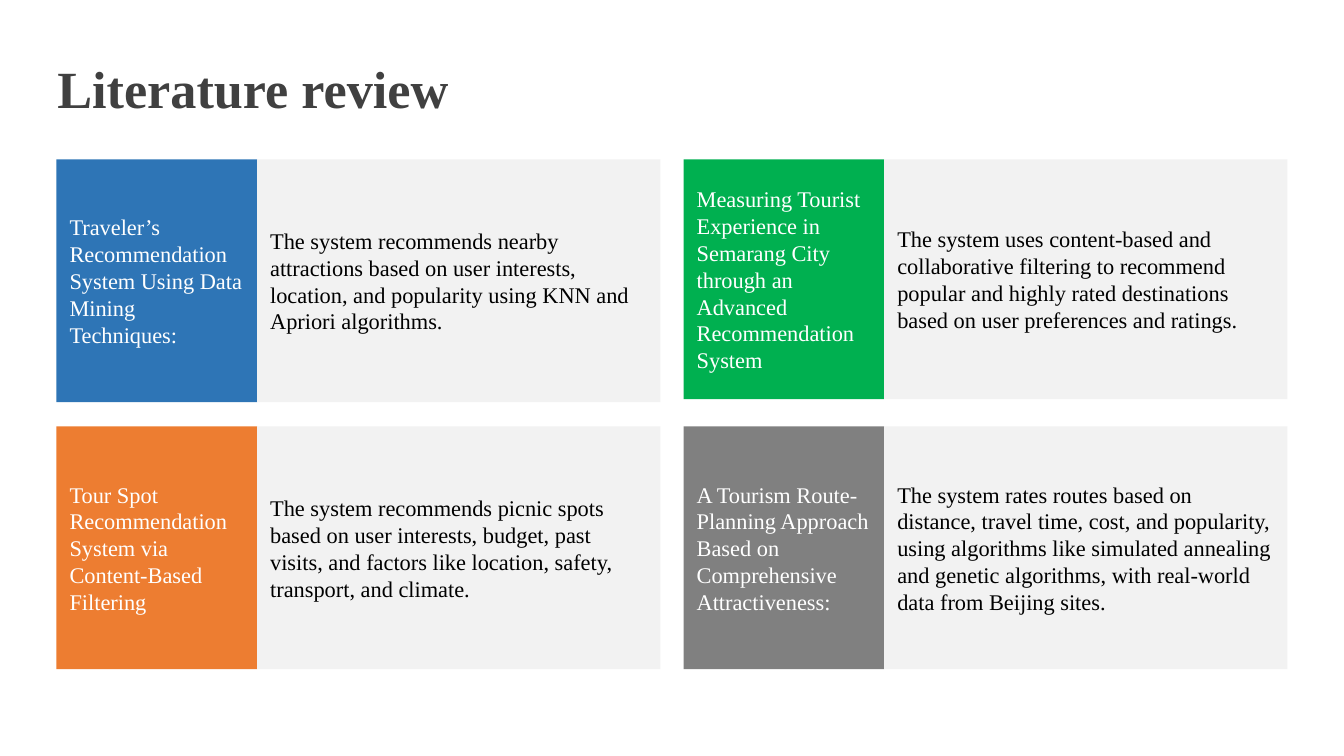
"""Build the literature review slide with four study cards."""
from dataclasses import dataclass

from pptx import Presentation
from pptx.dml.color import RGBColor
from pptx.enum.shapes import MSO_SHAPE
from pptx.enum.text import MSO_ANCHOR, PP_ALIGN
from pptx.slide import Slide
from pptx.text.text import TextFrame
from pptx.util import Inches, Pt


@dataclass(frozen=True)
class Theme:
    font: str = "Times New Roman"
    title_size: float = 37.3
    body_size: float = 16
    title: str = "404040"
    light: str = "FFFFFF"
    dark: str = "000000"
    panel: str = "F2F2F2"
    blue: str = "2E75B6"
    green: str = "00B050"
    orange: str = "ED7D31"
    gray: str = "808080"


@dataclass(frozen=True)
class Study:
    heading: tuple[str, ...]
    summary: str
    color: str
    height: float = 2.41


THEME = Theme()
LEFT, TOP = 0.56, 1.58
COLUMN_STEP, ROW_STEP = 6.22, 2.65
HEADING_WIDTH, SUMMARY_WIDTH = 1.99, 4.0

STUDIES = (
    Study(
        ("Traveler’s Recommendation System Using Data Mining Techniques:",),
        "The system recommends nearby attractions based on user interests, "
        "location, and popularity using KNN and Apriori algorithms.",
        THEME.blue,
    ),
    Study(
        ("Measuring Tourist Experience in",
         "Semarang City through an Advanced Recommendation System"),
        "The system uses content-based and collaborative filtering to recommend "
        "popular and highly rated destinations based on user preferences and ratings.",
        THEME.green,
        2.38,
    ),
    Study(
        ("Tour Spot Recommendation System via Content-Based Filtering",),
        "The system recommends picnic spots based on user interests, budget, past "
        "visits, and factors like location, safety, transport, and climate.",
        THEME.orange,
    ),
    Study(
        ("A Tourism Route-Planning Approach Based on Comprehensive Attractiveness:",),
        "The system rates routes based on distance, travel time, cost, and popularity, "
        "using algorithms like simulated annealing and genetic algorithms, with "
        "real-world data from Beijing sites.",
        THEME.gray,
    ),
)


def write_text(frame: TextFrame, lines: tuple[str, ...], size: float, color: str,
               margin_x: float, margin_y: float) -> None:
    """Fill a text frame with left-aligned, vertically centred paragraphs."""
    frame.word_wrap = True
    frame.vertical_anchor = MSO_ANCHOR.MIDDLE
    frame.margin_left = frame.margin_right = Inches(margin_x)
    frame.margin_top = frame.margin_bottom = Inches(margin_y)
    frame.text = "\n".join(lines)
    for para in frame.paragraphs:
        para.alignment = PP_ALIGN.LEFT
        para.font.name = THEME.font
        para.font.size = Pt(size)
        para.font.color.rgb = RGBColor.from_string(color)


def add_title(page: Slide, text: str) -> None:
    """Add the bold slide title."""
    box = page.shapes.add_textbox(Inches(0.57), Inches(0.61), Inches(12.2), Inches(0.6))
    write_text(box.text_frame, (text,), THEME.title_size, THEME.title, 0, 0)
    para = box.text_frame.paragraphs[0]
    para.line_spacing = 0.9
    para.font.bold = True


def add_panel(page: Slide, left: float, top: float, width: float, height: float,
              fill: str, lines: tuple[str, ...], color: str) -> None:
    """Add a borderless filled rectangle with text."""
    box = page.shapes.add_shape(MSO_SHAPE.RECTANGLE, Inches(left), Inches(top),
                                Inches(width), Inches(height))
    box.shadow.inherit = False
    box.fill.solid()
    box.fill.fore_color.rgb = RGBColor.from_string(fill)
    box.line.fill.background()
    write_text(box.text_frame, lines, THEME.body_size, color, 0.13, 0.07)


def add_study(page: Slide, study: Study, left: float, top: float) -> None:
    """Add a coloured heading panel and its summary panel."""
    add_panel(page, left, top, HEADING_WIDTH, study.height,
              study.color, study.heading, THEME.light)
    add_panel(page, left + HEADING_WIDTH, top, SUMMARY_WIDTH, study.height,
              THEME.panel, (study.summary,), THEME.dark)


def main() -> None:
    """Create the deck and save it."""
    deck = Presentation()
    deck.slide_width, deck.slide_height = Inches(13.33), Inches(7.5)
    page = deck.slides.add_slide(deck.slide_layouts[6])
    add_title(page, "Literature review")
    for index, study in enumerate(STUDIES):
        row, column = divmod(index, 2)
        add_study(page, study, LEFT + column * COLUMN_STEP, TOP + row * ROW_STEP)
    deck.save("out.pptx")


if __name__ == "__main__":
    main()
